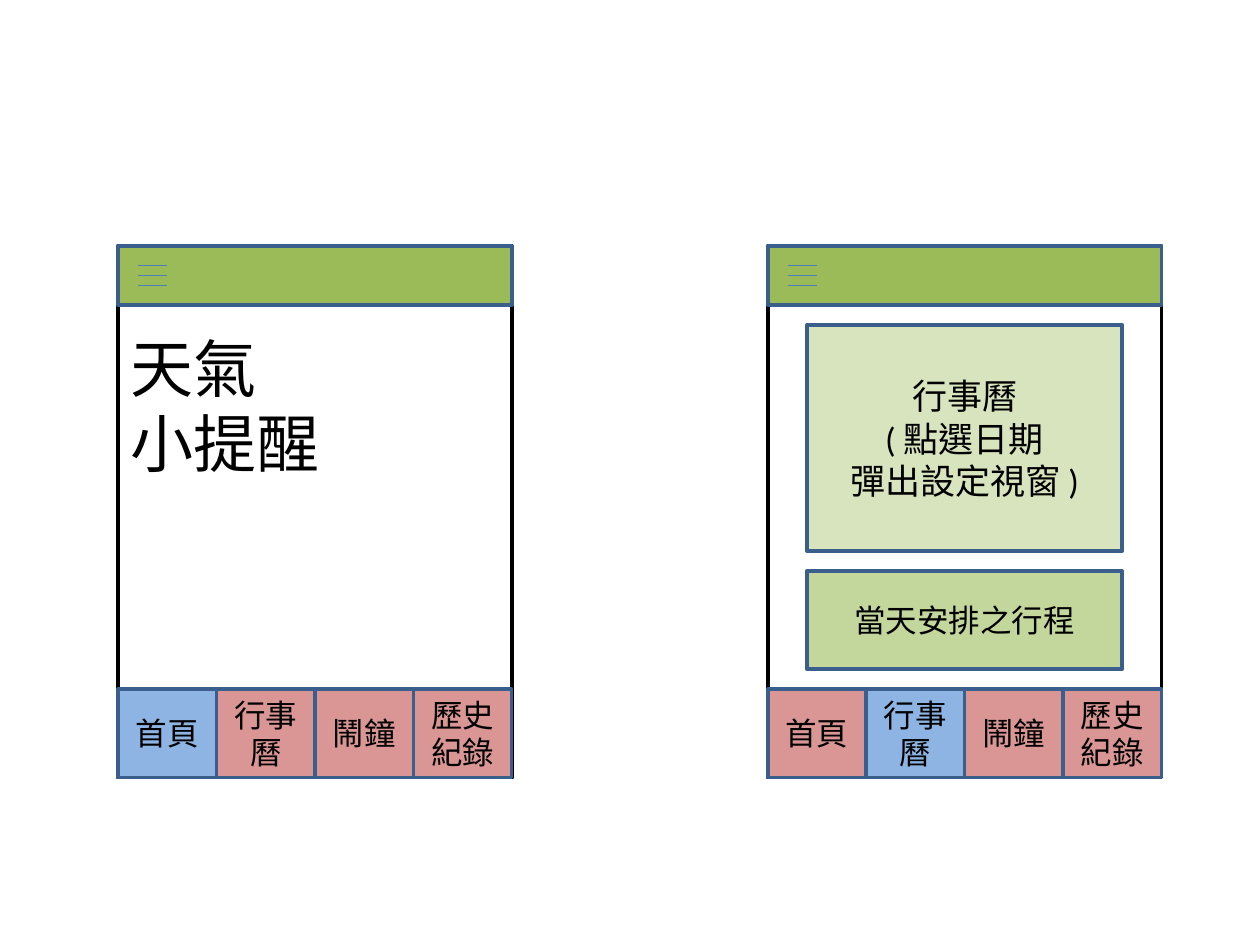
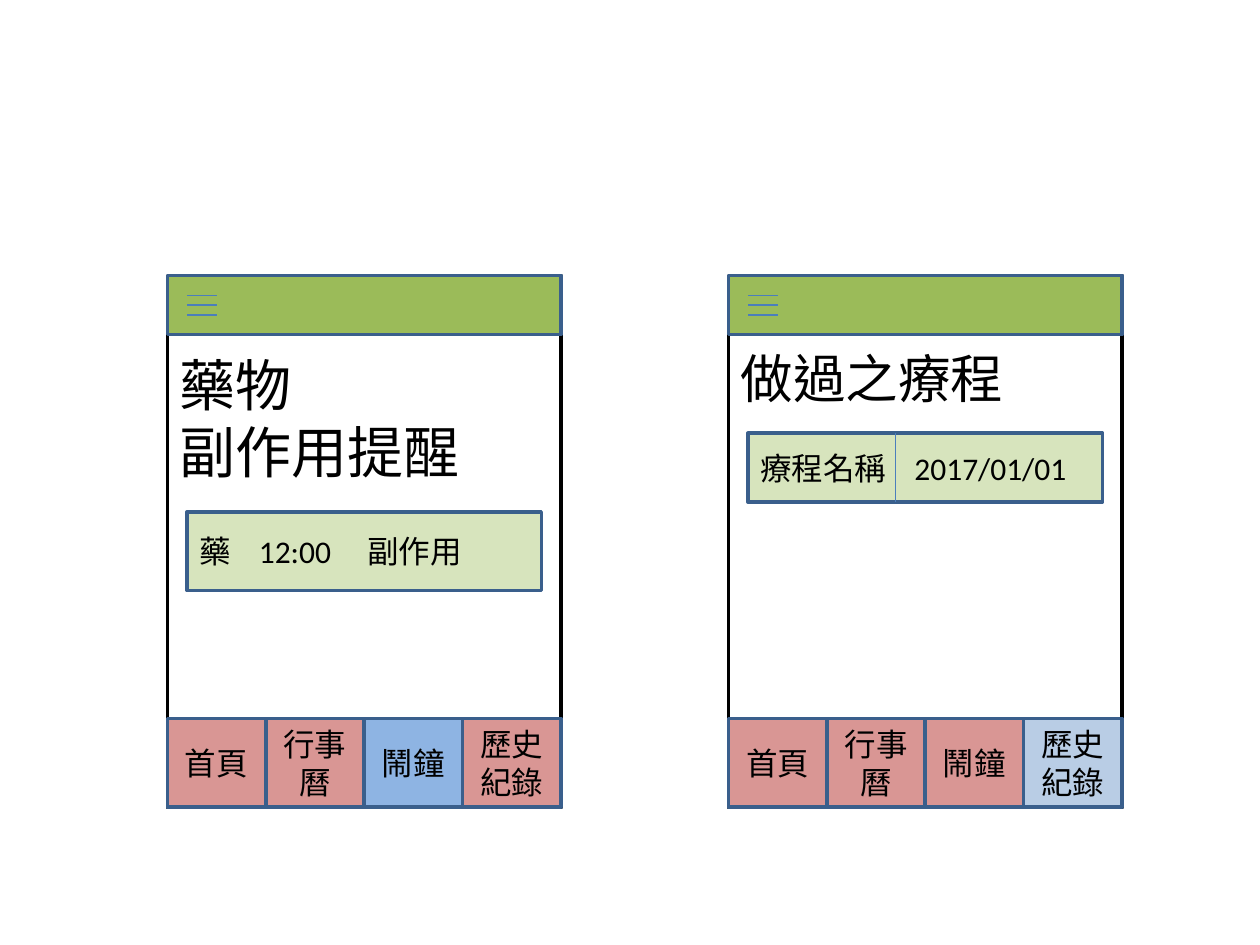
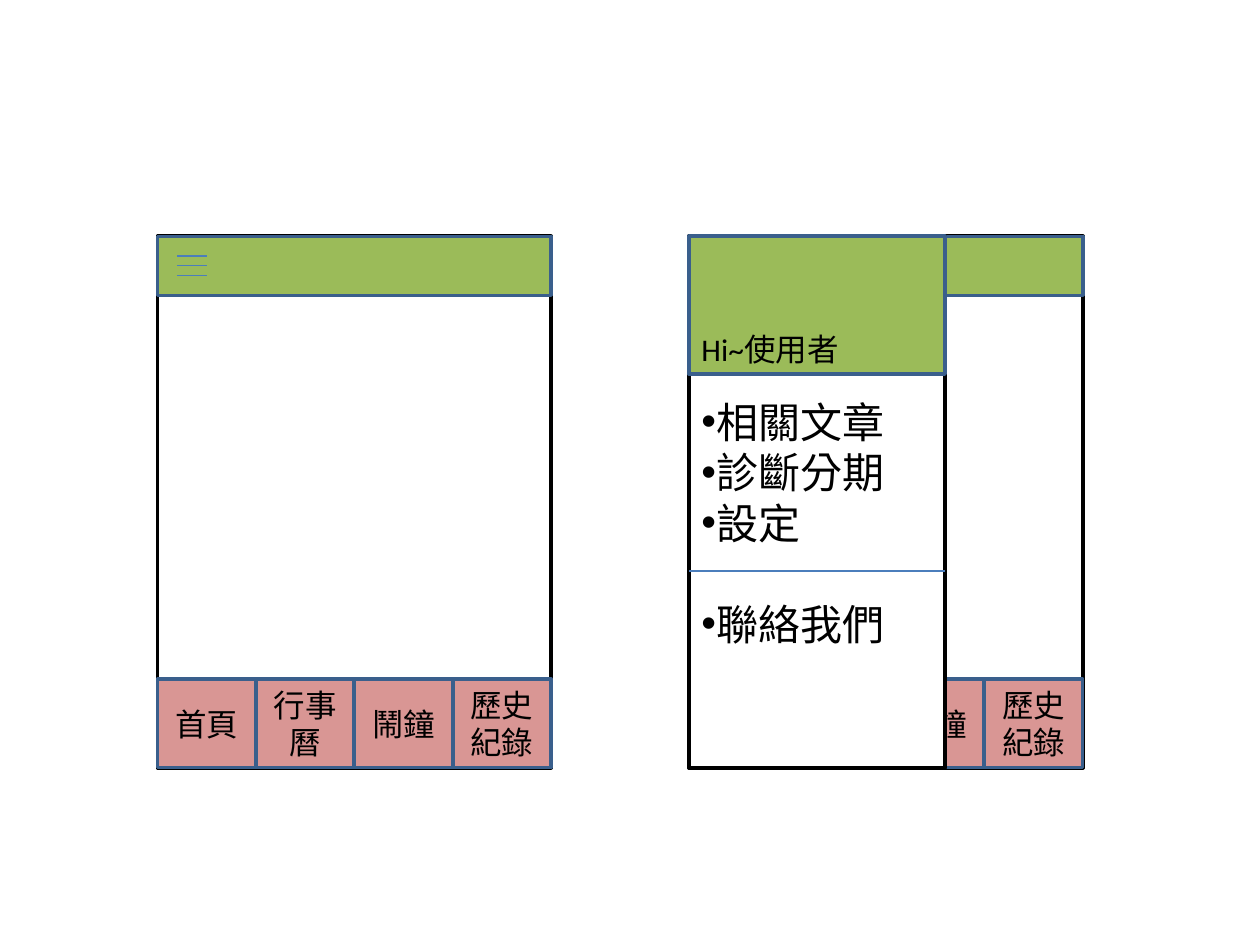
"""Builds three slides of phone screen wireframes for a patient care app."""
from lxml import etree
from pptx import Presentation
from pptx import util as u
from pptx.dml.color import RGBColor
from pptx.enum import shapes, text
from pptx.oxml import ns

BLACK = RGBColor(0x00, 0x00, 0x00)
WHITE = RGBColor(0xFF, 0xFF, 0xFF)
BORDER = RGBColor(0x3A, 0x5F, 0x8C)
RULE = RGBColor(0x4B, 0x7E, 0xBC)
GREEN = RGBColor(0x9B, 0xBB, 0x59)
MID_GREEN = RGBColor(0xC3, 0xD6, 0x9B)
PALE_GREEN = RGBColor(0xD7, 0xE4, 0xBD)
ROSE = RGBColor(0xD9, 0x96, 0x94)
BLUE = RGBColor(0x8E, 0xB4, 0xE3)
PALE_BLUE = RGBColor(0xB9, 0xCD, 0xE5)

FONT = "Calibri"
LINE_HEIGHT = 1.22
INSET = 3.6
LEFT = text.PP_ALIGN.LEFT
CENTER = text.PP_ALIGN.CENTER
TOP = text.MSO_ANCHOR.TOP
MIDDLE = text.MSO_ANCHOR.MIDDLE
BOTTOM = text.MSO_ANCHOR.BOTTOM

PHONE_W, PHONE_H = 225, 303.75
BAR_H, NAV_H = 33.75, 50.62
ICON_X, ICON_W, ICON_GAP = 11.25, 16.88, 5.62
DRAWER_W, DRAWER_HEAD_H, DRAWER_RULE_Y = 146.25, 78.75, 191.25
TABS = ["首頁", "行事曆", "鬧鐘", "歷史紀錄"]
COVERED_TABS = 2
MENU = ["相關文章", "診斷分期", "設定", "聯絡我們"]
GREETING = "Hi~使用者"

SLIDES = [
    [
        {"at": (67.5, 140.62), "active": (0, BLUE), "heading": (["天氣", "小提醒"], 36)},
        {"at": (438.75, 140.62), "active": (1, BLUE), "cards": [
            {"box": (22.5, 45, 180, 129.38), "fill": PALE_GREEN, "size": 20, "align": CENTER,
             "lines": ["行事曆", "( 點選日期", "彈出設定視窗 )"]},
            {"box": (22.5, 185.62, 180, 56.25), "fill": MID_GREEN, "size": 18, "align": CENTER,
             "lines": ["當天安排之行程"]},
        ]},
    ],
    [
        {"at": (95.62, 157.5), "active": (2, BLUE), "heading": (["藥物", "副作用提醒"], 32), "cards": [
            {"box": (11.25, 135, 202.5, 45), "fill": PALE_GREEN, "size": 18, "align": LEFT,
             "lines": ["藥\t12:00\t副作用"], "stops": [34, 96]},
        ]},
        {"at": (416.25, 157.5), "active": (3, PALE_BLUE), "heading": (["做過之療程"], 30), "cards": [
            {"box": (11.25, 90, 202.5, 39.38), "fill": PALE_GREEN, "size": 18, "align": LEFT,
             "lines": ["療程名稱\t2017/01/01"], "stops": [88], "divider": 84.38},
        ]},
    ],
    [
        {"at": (90, 135)},
        {"at": (393.75, 135), "drawer": True},
    ],
]


def add_box(group, x, y, width, height, fill, line=BORDER):
    box = group.shapes.add_shape(
        shapes.MSO_SHAPE.RECTANGLE, u.Pt(x), u.Pt(y), u.Pt(width), u.Pt(height))
    box.shadow.inherit = False
    box.fill.solid()
    box.fill.fore_color.rgb = fill
    box.line.color.rgb = line
    box.line.width = u.Pt(2)
    return box


def add_rule(group, x1, y1, x2, y2):
    rule = group.shapes.add_connector(
        shapes.MSO_CONNECTOR.STRAIGHT, u.Pt(x1), u.Pt(y1), u.Pt(x2), u.Pt(y2))
    rule.line.color.rgb = RULE
    rule.line.width = u.Pt(0.75)
    etree.SubElement(rule._element.spPr, ns.qn("a:effectLst"))


def write(box, lines, size, align=LEFT, anchor=MIDDLE, lead=0):
    """Fill a box with paragraphs, lowered by a number of line heights."""
    frame = box.text_frame
    frame.word_wrap = True
    frame.vertical_anchor = anchor
    frame.margin_top = u.Pt(round(INSET + lead * size * LINE_HEIGHT, 2))
    for index, line in enumerate(lines):
        para = frame.add_paragraph() if index else frame.paragraphs[0]
        para.alignment = align
        span = para.add_run()
        span.text = line
        span.font.name = FONT
        span.font.size = u.Pt(size)
        span.font.color.rgb = BLACK
        span._r.get_or_add_rPr().set("lang", "zh-TW")
    return frame.paragraphs


def set_tab_stops(para, stops):
    tabs = etree.SubElement(para._p.get_or_add_pPr(), ns.qn("a:tabLst"))
    for stop in stops:
        etree.SubElement(tabs, ns.qn("a:tab"), pos=str(u.Pt(stop)), algn="l")


def set_bullet(para):
    properties = para._p.get_or_add_pPr()
    properties.set("marL", "0")
    properties.set("indent", "0")
    etree.SubElement(properties, ns.qn("a:buFont"), typeface="Arial")
    etree.SubElement(properties, ns.qn("a:buChar"), char="•")


def add_card(group, left, top, card):
    x, y, width, height = card["box"]
    x, y = left + x, top + y
    box = add_box(group, x, y, width, height, card["fill"])
    paras = write(box, card["lines"], card["size"], card["align"])
    if "stops" in card:
        set_tab_stops(paras[0], card["stops"])
    if "divider" in card:
        middle = x + card["divider"]
        add_rule(group, middle, y, middle, y + height)


def add_drawer(group, left, top):
    panel = add_box(group, left, top, DRAWER_W, PHONE_H, WHITE, BLACK)
    paras = write(panel, MENU, 24, anchor=TOP, lead=3)
    paras[-1].space_before = u.Pt(29)
    for para in paras:
        set_bullet(para)
    head = add_box(group, left, top, DRAWER_W, DRAWER_HEAD_H, GREEN)
    write(head, [GREETING], 18, anchor=BOTTOM)
    y = top + DRAWER_RULE_Y
    add_rule(group, left, y, left + DRAWER_W, y)


def add_phone(page, phone):
    group = page.shapes.add_group_shape()
    left, top = phone["at"]
    has_drawer = phone.get("drawer", False)
    screen = add_box(group, left, top, PHONE_W, PHONE_H, WHITE, BLACK)
    if "heading" in phone:
        lines, size = phone["heading"]
        write(screen, lines, size, anchor=TOP, lead=1)

    nav_top = top + PHONE_H - NAV_H
    add_box(group, left, nav_top, PHONE_W, NAV_H, ROSE, BLACK)
    active, highlight = phone.get("active", (None, ROSE))
    tab_w = PHONE_W / len(TABS)
    for index, label in enumerate(TABS):
        fill = highlight if index == active else ROSE
        tab = add_box(group, left + index * tab_w, nav_top, tab_w, NAV_H, fill)
        if not has_drawer or index >= COVERED_TABS:
            write(tab, [label], 18, CENTER)

    add_box(group, left, top, PHONE_W, BAR_H, GREEN)
    if has_drawer:
        add_drawer(group, left, top)
    else:
        for row in range(3):
            y = top + (row + 2) * ICON_GAP
            add_rule(group, left + ICON_X, y, left + ICON_X + ICON_W, y)
    for card in phone.get("cards", []):
        add_card(group, left, top, card)


def main():
    deck = Presentation()
    deck.slide_width, deck.slide_height = u.Pt(720), u.Pt(540)
    for phones in SLIDES:
        page = deck.slides.add_slide(deck.slide_layouts[6])
        for phone in phones:
            add_phone(page, phone)
    deck.save("out.pptx")


if __name__ == "__main__":
    main()
